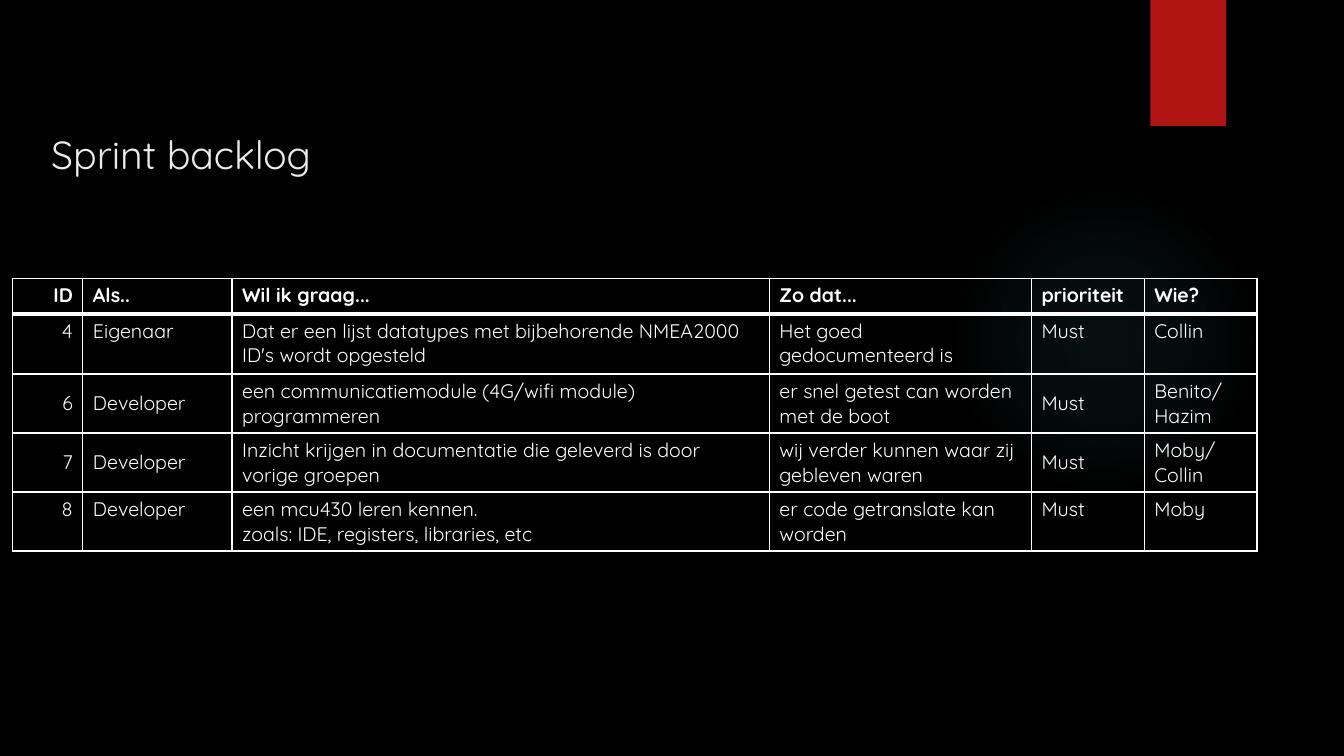
import pptx
import pptx.dml.color
import pptx.enum.shapes
import pptx.enum.text
import pptx.oxml
import pptx.oxml.ns
import pptx.util

Pt = pptx.util.Pt
RGBColor = pptx.dml.color.RGBColor
Shape = pptx.enum.shapes.MSO_SHAPE
Align = pptx.enum.text.PP_ALIGN
Anchor = pptx.enum.text.MSO_ANCHOR

BLACK = RGBColor(0x00, 0x00, 0x00)
WHITE = RGBColor(0xFF, 0xFF, 0xFF)
OFF_WHITE = RGBColor(0xEB, 0xEB, 0xEB)
RED = RGBColor(0xB0, 0x15, 0x13)
TEAL = RGBColor(0x50, 0xB9, 0xC1)

TITLE_FORMAT = {"name": "Quicksand", "size": Pt(28), "bold": False}
HEADER_FORMAT = {"name": "Quicksand", "size": Pt(14), "bold": True}
BODY_FORMAT = HEADER_FORMAT | {"bold": False}

GLOW_STOPS = [(0, 7), (36, 6), (69, 0)]  # position and opacity, in percent

COLUMN_WIDTHS = [50.4, 106.6, 383.8, 187.2, 80.6, 80.6]
ROW_HEIGHTS = [25.4, 43, 42.2, 42.2, 42.2]
MIDDLE_ROWS = (2, 3)
BACKLOG = [
    ["ID", "Als..", "Wil ik graag...", "Zo dat...", "prioriteit", "Wie?"],
    ["4", "Eigenaar",
     "Dat er een lijst datatypes met bijbehorende NMEA2000 ID's wordt opgesteld",
     "Het goed gedocumenteerd is", "Must", "Collin"],
    ["6", "Developer",
     "een communicatiemodule (4G/wifi module) programmeren",
     "er snel getest can worden met de boot", "Must", "Benito/\nHazim"],
    ["7", "Developer",
     "Inzicht krijgen in documentatie die geleverd is door vorige groepen",
     "wij verder kunnen waar zij gebleven waren", "Must", "Moby/\nCollin"],
    ["8", "Developer",
     "een mcu430 leren kennen.\nzoals: IDE, registers, libraries, etc",
     "er code getranslate kan worden", "Must", "Moby"],
]


def write_text(frame, text, color, font_format, align=Align.LEFT):
    for index, line in enumerate(text.split("\n")):
        para = frame.add_paragraph() if index else frame.paragraphs[0]
        para.alignment = align
        span = para.add_run()
        span.text = line
        span.font.color.rgb = color
        for name, value in font_format.items():
            setattr(span.font, name, value)


def add_plain_shape(page, kind, left, top, width, height, color):
    shape = page.shapes.add_shape(kind, Pt(left), Pt(top), Pt(width), Pt(height))
    shape.shadow.inherit = False
    shape.line.fill.background()
    shape.fill.solid()
    shape.fill.fore_color.rgb = color
    return shape


def add_glow(page, left, top, size):
    glow = add_plain_shape(page, Shape.OVAL, left, top, size, size, TEAL)
    stops = "".join(
        f'<a:gs pos="{position * 1000}"><a:srgbClr val="{TEAL}">'
        f'<a:alpha val="{opacity * 1000}"/></a:srgbClr></a:gs>'
        for position, opacity in GLOW_STOPS)
    gradient = pptx.oxml.parse_xml(
        f'<a:gradFill {pptx.oxml.ns.nsdecls("a")}><a:gsLst>{stops}</a:gsLst>'
        '<a:path path="circle"><a:fillToRect l="50000" t="50000" r="50000" b="50000"/>'
        '</a:path></a:gradFill>')
    properties = glow._element.spPr
    properties.replace(properties.find(pptx.oxml.ns.qn("a:solidFill")), gradient)


def add_title(page, text, left, top, width, height):
    box = page.shapes.add_textbox(Pt(left), Pt(top), Pt(width), Pt(height))
    frame = box.text_frame
    frame.word_wrap = True
    frame.vertical_anchor = Anchor.TOP
    frame.margin_top = Pt(2)
    write_text(frame, text, OFF_WHITE, TITLE_FORMAT)


def set_borders(cell, widths):
    properties = cell._tc.get_or_add_tcPr()
    for side, width in widths.items():
        properties.append(pptx.oxml.parse_xml(
            f'<a:ln{side} {pptx.oxml.ns.nsdecls("a")} w="{Pt(width)}">'
            f'<a:solidFill><a:srgbClr val="{WHITE}"/></a:solidFill></a:ln{side}>'))


def add_backlog(page, left, top):
    frame = page.shapes.add_table(
        len(BACKLOG), len(COLUMN_WIDTHS), Pt(left), Pt(top),
        Pt(sum(COLUMN_WIDTHS)), Pt(sum(ROW_HEIGHTS)))
    table = frame.table
    table.horz_banding = False
    for column, width in zip(table.columns, COLUMN_WIDTHS):
        column.width = Pt(width)
    for row, height in zip(table.rows, ROW_HEIGHTS):
        row.height = Pt(height)

    for row_index, texts in enumerate(BACKLOG):
        font_format = BODY_FORMAT if row_index else HEADER_FORMAT
        # The heavy rule lies between the header and the first item
        widths = {"L": 1, "R": 1,
                  "T": 3 if row_index == 1 else 1,
                  "B": 3 if row_index == 0 else 1}
        for column_index, text in enumerate(texts):
            cell = table.cell(row_index, column_index)
            middle = row_index in MIDDLE_ROWS and column_index < len(texts) - 1
            cell.vertical_anchor = Anchor.MIDDLE if middle else Anchor.TOP
            set_borders(cell, widths)
            cell.fill.background()
            align = Align.LEFT if column_index else Align.RIGHT
            write_text(cell.text_frame, text, WHITE, font_format, align)


def main():
    deck = pptx.Presentation()
    deck.slide_width, deck.slide_height = Pt(960), Pt(540)
    page = deck.slides.add_slide(deck.slide_layouts[6])

    # Backdrop
    page.background.fill.solid()
    page.background.fill.fore_color.rgb = BLACK
    add_glow(page, 677.5, 131.8, 221.8)
    add_plain_shape(page, Shape.RECTANGLE, 821.8, 0, 54, 90, RED)

    # Content
    add_title(page, "Sprint backlog", 29.5, 91.4, 270.7, 88.6)
    add_backlog(page, 8.8, 198.7)

    deck.save("out.pptx")


if __name__ == "__main__":
    main()
